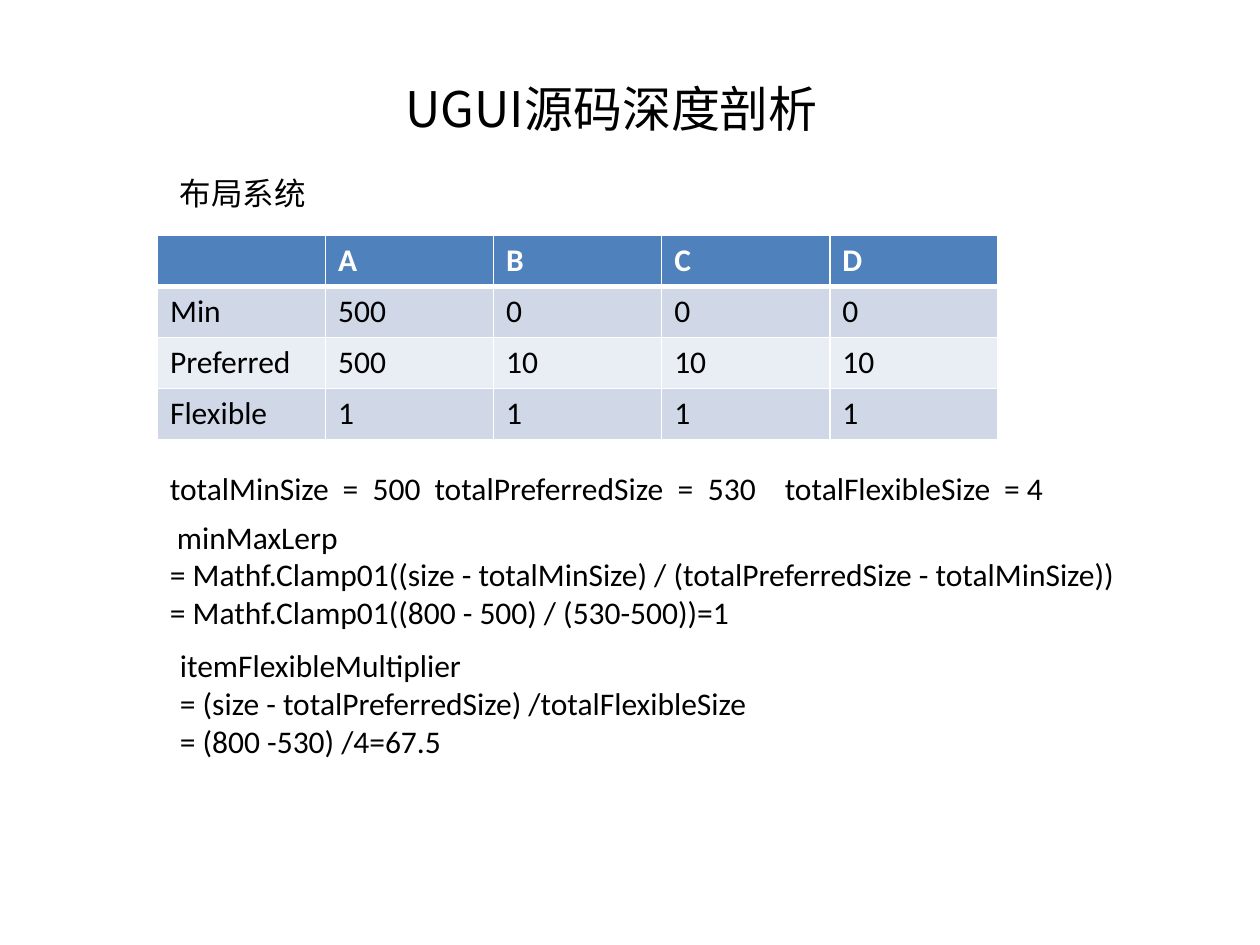
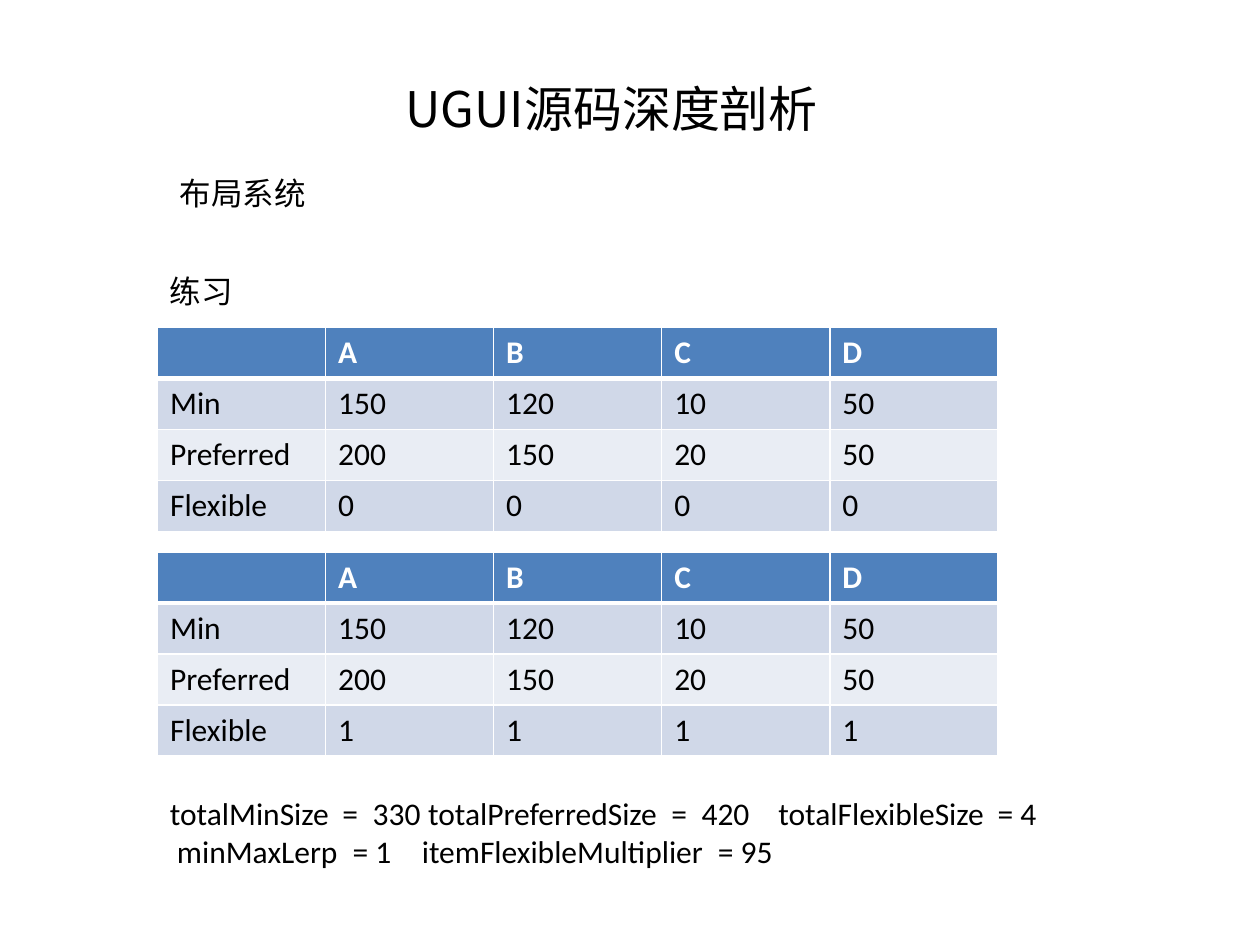
from typing import NamedTuple

from lxml.etree import SubElement
from pptx import Presentation
from pptx.dml.color import RGBColor
from pptx.enum.text import MSO_ANCHOR, MSO_AUTO_SIZE, PP_ALIGN
from pptx.oxml.ns import qn
from pptx.slide import Slide
from pptx.util import Inches, Length, Pt

BLACK = RGBColor(0x00, 0x00, 0x00)
WHITE = RGBColor(0xFF, 0xFF, 0xFF)
HEADER_BLUE = RGBColor(0x4F, 0x81, 0xBD)
BANDS = (RGBColor(0xD0, 0xD8, 0xE8), RGBColor(0xE9, 0xED, 0xF4))

BODY_FONT = "Calibri"
CHINESE_FONT = "Noto Sans CJK SC"
BODY_SIZE = 18
TITLE_SIZE = 28

CENTER, LEFT = PP_ALIGN.CENTER, PP_ALIGN.LEFT
MIDDLE = MSO_ANCHOR.MIDDLE
FIT_SHAPE = MSO_AUTO_SIZE.SHAPE_TO_FIT_TEXT

# The slide is a grid of 100 columns by 75 rows.
GRID_COLUMNS, GRID_ROWS = 100, 75
CELL = 0.1
MARGIN = 12.5
INDENT = 13.3
LINE_ROWS = 3.05
PADDING_ROWS = 1
TABLE_COLUMNS, TABLE_ROWS = 66.7, 16.2

HEADINGS = ("", "A", "B", "C", "D")
SIZE_NAMES = ("Min", "Preferred", "Flexible")


class TextLine(NamedTuple):
    text: str
    tab_stops: tuple[float, ...] = ()


class Note(NamedTuple):
    left: float
    top: float
    width: float
    lines: tuple[TextLine, ...]


class SizeTable(NamedTuple):
    top: float
    values: tuple[tuple[int, ...], ...]


class Page(NamedTuple):
    tables: tuple[SizeTable, ...]
    notes: tuple[Note, ...]


SECTION = Note(INDENT, 13.3, 38.3, (TextLine("布局系统"),))

PAGES = (
    Page(
        (SizeTable(18.7, ((500, 0, 0, 0), (500, 10, 10, 10), (1, 1, 1, 1))),),
        (
            Note(MARGIN, 36.7, 72.5, (
                TextLine("totalMinSize\t=\t500\ttotalPreferredSize\t=\t530\ttotalFlexibleSize\t= 4",
                         (13.7, 16.1, 21, 40.3, 42.7, 48.8, 66.2)),
            )),
            Note(MARGIN, 40.6, 78.9, (
                TextLine(" minMaxLerp"),
                TextLine("= Mathf.Clamp01((size - totalMinSize) / (totalPreferredSize - totalMinSize))"),
                TextLine("= Mathf.Clamp01((800 - 500) / (530-500))=1"),
            )),
            Note(INDENT, 50.8, 75, (
                TextLine("itemFlexibleMultiplier"),
                TextLine("= (size - totalPreferredSize) /totalFlexibleSize"),
                TextLine("= (800 -530) /4=67.5"),
            )),
        ),
    ),
    Page(
        (
            SizeTable(26, ((150, 120, 10, 50), (200, 150, 20, 50), (0, 0, 0, 0))),
            SizeTable(43.8, ((150, 120, 10, 50), (200, 150, 20, 50), (1, 1, 1, 1))),
        ),
        (
            Note(MARGIN, 62.5, 72.7, (
                TextLine("totalMinSize\t=\t330\ttotalPreferredSize\t=\t420\ttotalFlexibleSize\t= 4",
                         (13.7, 16.1, 20.5, 39.8, 42.2, 48.3, 65.7)),
                TextLine(" minMaxLerp\t= 1\titemFlexibleMultiplier\t= 95", (14.5, 20, 43.5)),
            )),
            Note(MARGIN, 21.1, 12.5, (TextLine("练习"),)),
        ),
    ),
)


def grid(units: float) -> Length:
    return Inches(units * CELL)


def add_span(para, text: str, size: int = BODY_SIZE, font: str = BODY_FONT,
             color: RGBColor = BLACK, bold: bool = False) -> None:
    span = para.add_run()
    span.text = text
    span.font.size = Pt(size)
    span.font.name = font
    span.font.bold = bold
    span.font.color.rgb = color
    SubElement(span.font._element, qn("a:ea"), typeface=CHINESE_FONT)


def add_tab_stops(para, stops: tuple[float, ...]) -> None:
    if stops:
        tab_list = SubElement(para._p.get_or_add_pPr(), qn("a:tabLst"))
        for stop in stops:
            SubElement(tab_list, qn("a:tab"), pos=str(grid(stop)), algn="l")


def add_title(slide: Slide) -> None:
    box = slide.shapes.add_textbox(grid(28.1), grid(6.1), grid(40.9), grid(5.6))
    frame = box.text_frame
    frame.word_wrap = True
    frame.vertical_anchor = MIDDLE
    para = frame.paragraphs[0]
    para.alignment = CENTER
    para.line_spacing = 0.9
    add_span(para, "UGUI源码深度剖析", TITLE_SIZE, CHINESE_FONT)


def add_note(slide: Slide, note: Note) -> None:
    height = PADDING_ROWS + LINE_ROWS * len(note.lines)
    box = slide.shapes.add_textbox(grid(note.left), grid(note.top), grid(note.width), grid(height))
    frame = box.text_frame
    frame.word_wrap = True
    frame.auto_size = FIT_SHAPE
    for index, line in enumerate(note.lines):
        para = frame.add_paragraph() if index else frame.paragraphs[0]
        para.alignment = LEFT
        add_tab_stops(para, line.tab_stops)
        add_span(para, line.text)


def add_borders(cell, top: int, bottom: int) -> None:
    """Draw white cell edges; top and bottom are widths in points."""
    properties = cell._tc.get_or_add_tcPr()
    for side, width in (("L", 1), ("R", 1), ("T", top), ("B", bottom)):
        edge = SubElement(properties, qn(f"a:ln{side}"), w=str(Pt(width)))
        fill = SubElement(edge, qn("a:solidFill"))
        SubElement(fill, qn("a:srgbClr"), val=str(WHITE))


def add_size_table(slide: Slide, data: SizeTable) -> None:
    rows = [HEADINGS] + [(name, *values) for name, values in zip(SIZE_NAMES, data.values)]
    table = slide.shapes.add_table(len(rows), len(HEADINGS), grid(MARGIN), grid(data.top),
                                   grid(TABLE_COLUMNS), grid(TABLE_ROWS)).table
    table.horz_banding = False
    for row_index, row in enumerate(rows):
        is_header = row_index == 0
        for column_index, value in enumerate(row):
            cell = table.cell(row_index, column_index)
            add_borders(cell, top=3 if row_index == 1 else 1, bottom=3 if is_header else 1)
            cell.fill.solid()
            cell.fill.fore_color.rgb = HEADER_BLUE if is_header else BANDS[(row_index - 1) % 2]
            if value != "":
                add_span(cell.text_frame.paragraphs[0], str(value),
                         color=WHITE if is_header else BLACK, bold=is_header)


def main() -> None:
    deck = Presentation()
    deck.slide_width, deck.slide_height = grid(GRID_COLUMNS), grid(GRID_ROWS)
    blank = deck.slide_layouts[6]
    for page in PAGES:
        slide = deck.slides.add_slide(blank)
        add_title(slide)
        add_note(slide, SECTION)
        for table in page.tables:
            add_size_table(slide, table)
        for note in page.notes:
            add_note(slide, note)
    deck.save("out.pptx")


if __name__ == "__main__":
    main()
